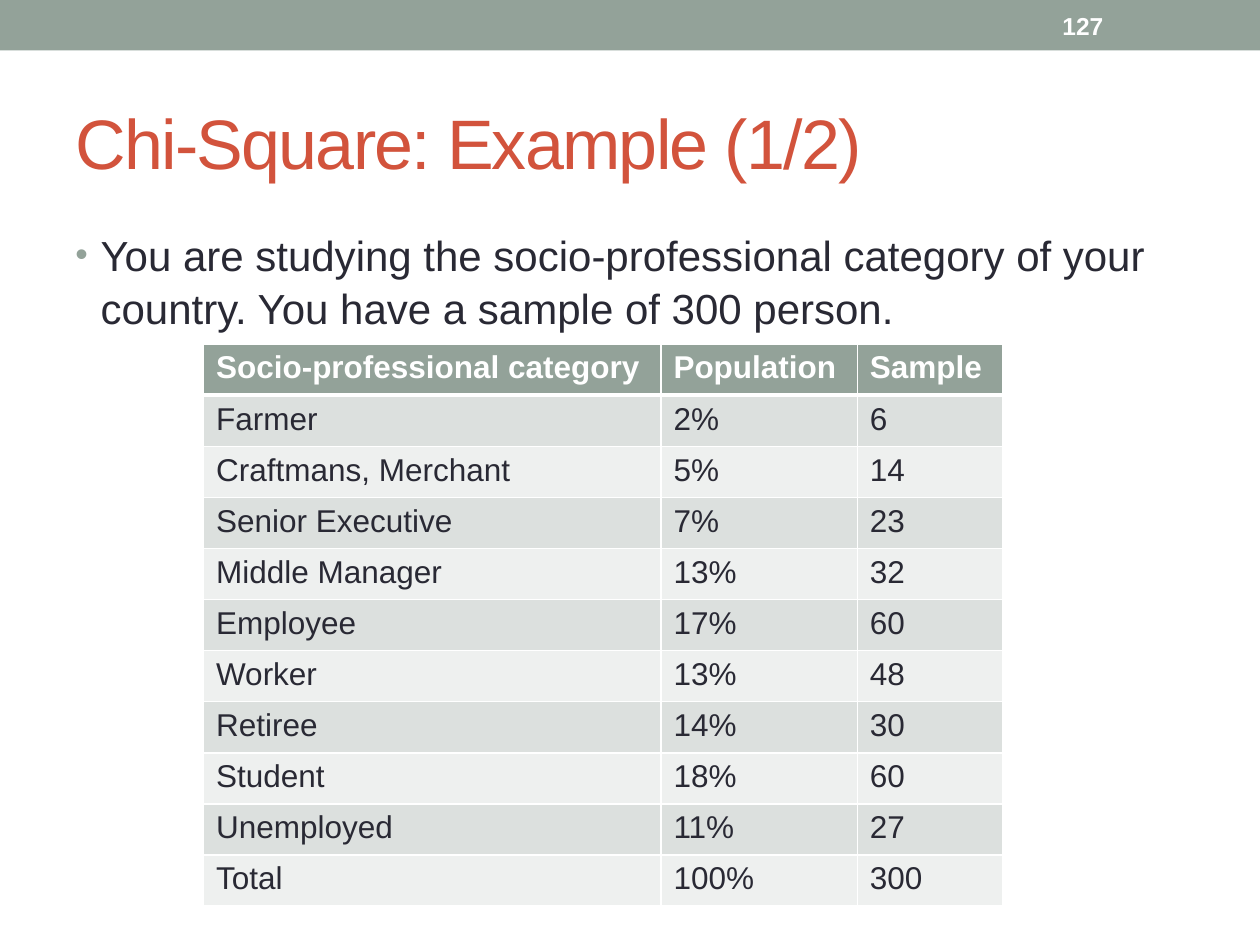
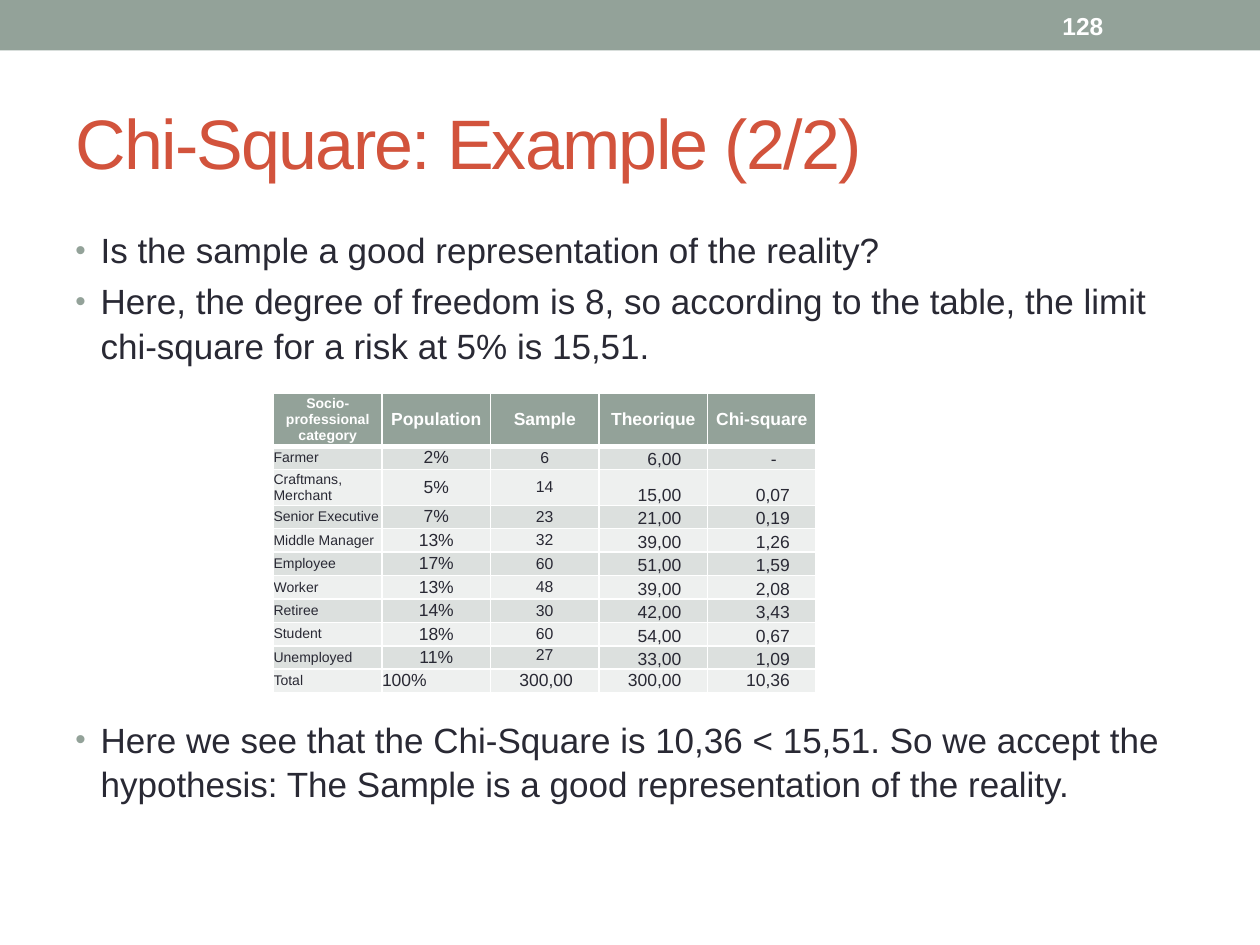
from lxml import etree
from pptx import Presentation
from pptx import util as u
from pptx.dml.color import RGBColor
from pptx.enum import shapes, text
from pptx.oxml.ns import qn

Pt = u.Pt
ALIGN = text.PP_ALIGN
ANCHOR = text.MSO_ANCHOR
SURVEY = [
    ("Farmer", "2%", "6"),
    ("Craftmans, Merchant", "5%", "14"),
    ("Senior Executive", "7%", "23"),
    ("Middle Manager", "13%", "32"),
    ("Employee", "17%", "60"),
    ("Worker", "13%", "48"),
    ("Retiree", "14%", "30"),
    ("Student", "18%", "60"),
    ("Unemployed", "11%", "27"),
]
CHI_SQUARE = [
    ("6,00", "-"), ("15,00", "0,07"), ("21,00", "0,19"),
    ("39,00", "1,26"), ("51,00", "1,59"), ("39,00", "2,08"),
    ("42,00", "3,43"), ("54,00", "0,67"), ("33,00", "1,09"),
]
HEADINGS = ("Socio-professional category", "Population", "Sample")


def color(value):
    return RGBColor.from_string(value)


class Deck:
    """Holds the shared style and the slide being built."""

    font = "Arial"
    sage, red, ink, white = "93A299", "D2533C", "292934", "FFFFFF"
    stripes = ("EEF0EF", "DCE0DE")

    def __init__(self):
        self.presentation = Presentation()
        self.presentation.slide_width = Pt(720)
        self.presentation.slide_height = Pt(540)
        self.slide = None

    def add_slide(self, title, number):
        layout = self.presentation.slide_layouts[6]
        self.slide = self.presentation.slides.add_slide(layout)
        self.band()
        self.title(title)
        self.page_number(number)

    def style(self, paragraph, size, value, bold=False):
        for run in paragraph.runs:
            run.font.name = self.font
            run.font.size = Pt(size)
            run.font.bold = bold
            run.font.color.rgb = color(value)

    def band(self):
        shape = self.slide.shapes.add_shape(
            shapes.MSO_SHAPE.RECTANGLE, 0, 0, Pt(720), Pt(28.8))
        shape.shadow.inherit = False
        shape.fill.solid()
        shape.fill.fore_color.rgb = color(self.sage)
        shape.line.fill.background()

    def text_frame(self, left, top, width, height, anchor=ANCHOR.MIDDLE):
        shape = self.slide.shapes.add_textbox(
            Pt(left), Pt(top), Pt(width), Pt(height))
        shape.text_frame.word_wrap = True
        shape.text_frame.vertical_anchor = anchor
        return shape.text_frame

    def title(self, wording):
        frame = self.text_frame(36, 42, 648, 78)
        frame.text = wording
        paragraph = frame.paragraphs[0]
        self.style(paragraph, 40, self.red)
        paragraph.runs[0].font._element.set("spc", "-100")

    def page_number(self, number):
        frame = self.text_frame(600, 1.5, 84, 26)
        frame.text = str(number)
        self.style(frame.paragraphs[0], 14, self.white, bold=True)

    def bullets(self, size, items):
        frame = self.text_frame(36, 126, 648, 384, ANCHOR.TOP)
        frame.text = "\n".join(wording for wording, _ in items)
        for paragraph, (_, gap) in zip(frame.paragraphs, items):
            self.style(paragraph, size, self.ink)
            paragraph.space_before = Pt(gap)
            paragraph.line_spacing = 1.05
            properties = paragraph._p.get_or_add_pPr()
            properties.set("marL", str(Pt(14.4)))
            properties.set("indent", str(-Pt(14.4)))
            bullet_color = etree.SubElement(properties, qn("a:buClr"))
            etree.SubElement(bullet_color, qn("a:srgbClr"), val=self.sage)
            etree.SubElement(properties, qn("a:buSzPct"), val="85000")
            etree.SubElement(properties, qn("a:buFont"), typeface=self.font)
            etree.SubElement(properties, qn("a:buChar"), char="•")

    def borders(self, cell, bottom):
        properties = cell._tc.get_or_add_tcPr()
        for side, width in (("L", 1), ("R", 1), ("T", 1), ("B", bottom)):
            line = etree.SubElement(
                properties, qn("a:ln" + side), w=str(Pt(width)))
            fill = etree.SubElement(line, qn("a:solidFill"))
            etree.SubElement(fill, qn("a:srgbClr"), val=self.white)

    def table(self, left, top, widths, heights, rows, size=18):
        frame = self.slide.shapes.add_table(
            len(rows), len(widths), Pt(left), Pt(top),
            Pt(sum(widths)), Pt(sum(heights)))
        table = frame.table
        for column, width in zip(table.columns, widths):
            column.width = Pt(width)
        for row, height in zip(table.rows, heights):
            row.height = Pt(height)
        for i, values in enumerate(rows):
            for j, value in enumerate(values):
                cell = table.cell(i, j)
                cell.text = value
                self.borders(cell, 1 if i else 3)
                cell.fill.solid()
                cell.fill.fore_color.rgb = color(
                    self.stripes[i % 2] if i else self.sage)
                self.style(cell.text_frame.paragraphs[0], size,
                           self.ink if i else self.white, bold=i == 0)
        return table

    def compact_cell(self, cell, size, align, anchor, right=0):
        cell.margin_left = cell.margin_top = cell.margin_bottom = 0
        cell.margin_right = Pt(right)
        cell.vertical_anchor = anchor
        paragraph = cell.text_frame.paragraphs[0]
        paragraph.alignment = align
        paragraph.runs[0].font.size = Pt(size)

    def compact_table(self, left, top, widths, heights, rows):
        table = self.table(left, top, widths, heights, rows, size=10)
        total = len(rows) - 1
        for i, values in enumerate(rows):
            for j, value in enumerate(values):
                size, align, anchor, right = 10, ALIGN.CENTER, ANCHOR.MIDDLE, 0
                if j == 0:
                    size = 8
                elif j == 2 and 0 < i < total:
                    size = 9
                if i and (j == 0 or (i == total and j == 1)):
                    align = ALIGN.LEFT
                elif i and (j > 2 or (i == total and j == 2)):
                    align = ALIGN.RIGHT
                    right = 22.5 if value == "-" else 15
                    if i < total:
                        anchor = ANCHOR.BOTTOM
                self.compact_cell(table.cell(i, j), size, align, anchor, right)
        table.cell(total - 1, 2).vertical_anchor = ANCHOR.TOP


def main():
    deck = Deck()

    deck.add_slide("Chi-Square: Example (1/2)", 127)
    deck.bullets(24, [
        ("You are studying the socio-professional category of your country. "
         "You have a sample of 300 person.", 4.8),
    ])
    deck.table(116.3, 196.6, (261.4, 112.2, 83.4), [29.2] * 11,
               [HEADINGS, *SURVEY, ("Total", "100%", "300")])

    deck.add_slide("Chi-Square: Example (2/2)", 128)
    deck.bullets(20, [
        ("Is the sample a good representation of the reality?", 4),
        ("Here, the degree of freedom is 8, so according to the table, "
         "the limit chi-square for a risk at 5% is 15,51.", 4),
        ("Here we see that the Chi-Square is 10,36 < 15,51. So we accept the "
         "hypothesis: The Sample is a good representation of the reality.",
         200),
    ])
    deck.compact_table(
        156.3, 224.8, [62] * 5, [30.2, 13.4, 20.4] + [13.4] * 8,
        [HEADINGS + ("Theorique", "Chi-square"),
         *(survey + result for survey, result in zip(SURVEY, CHI_SQUARE)),
         ("Total", "100%", "300,00", "300,00", "10,36")])

    deck.presentation.save("out.pptx")


if __name__ == "__main__":
    main()
